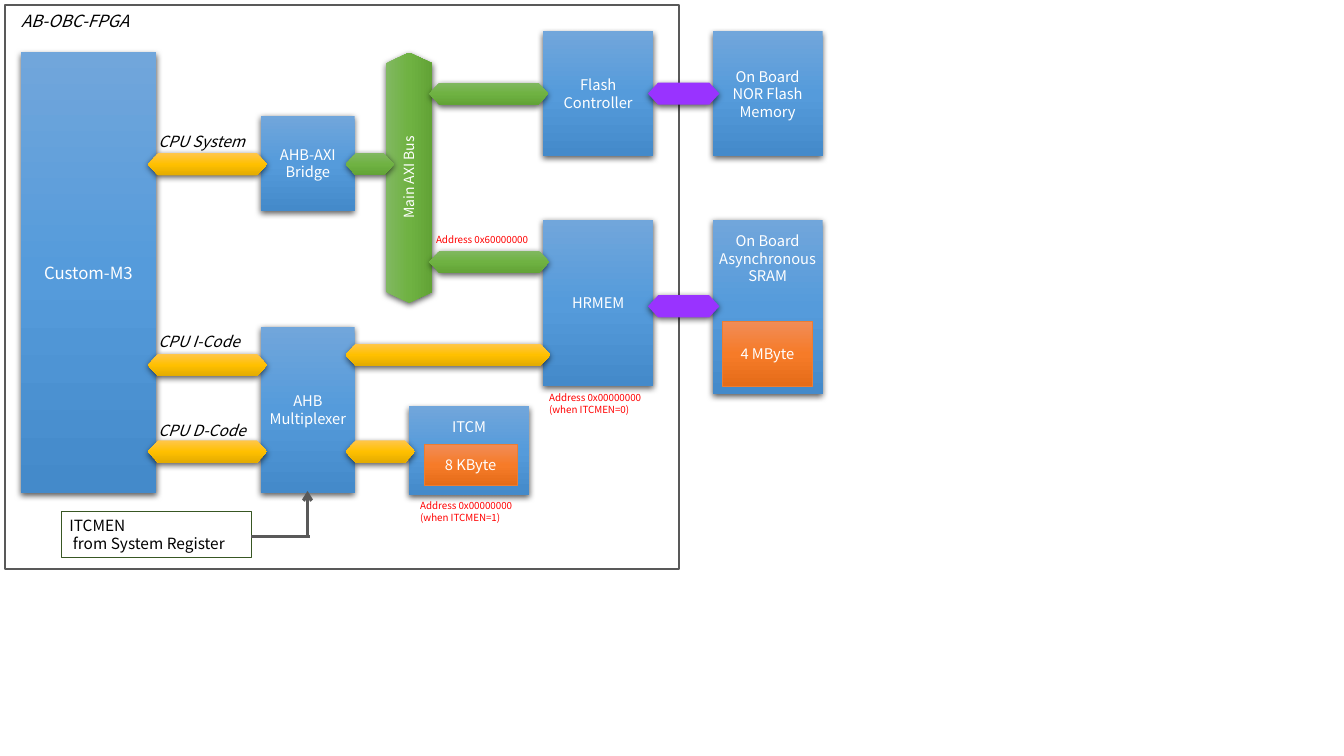
import copy
import pptx
import pptx.util
import pptx.dml.color
import pptx.enum.shapes
import pptx.enum.text
import pptx.oxml
import pptx.oxml.ns

Cm, Pt = pptx.util.Cm, pptx.util.Pt
RGB = pptx.dml.color.RGBColor.from_string
FORM = pptx.enum.shapes.MSO_SHAPE
ANCHOR = pptx.enum.text.MSO_ANCHOR
ALIGN = pptx.enum.text.PP_ALIGN
qn = pptx.oxml.ns.qn

FONT = "Noto Sans CJK JP"
COLOR = {"white": "FFFFFF", "black": "000000", "red": "FF0000", "gray": "595959",
         "rust": "ED7D31", "pine": "385723", "purple": "9933FF"}
SHADE = {"blue": ("71A6DB", "559BDB", "448ACA"),
         "orange": ("F18C57", "F67B28", "E56C19"),
         "gold": ("FFC64B", "FFC000", "E3AB00"),
         "green": ("81B861", "6FB242", "62A336")}
SHADOW = ('<a:outerShdw %s blurRad="57150" dist="19050" dir="5400000" algn="ctr" '
          'rotWithShape="0"><a:srgbClr val="000000"><a:alpha val="63000"/></a:srgbClr>'
          '</a:outerShdw>' % pptx.oxml.ns.nsdecls("a"))


def draw(form, place, fill=None, edge=None, width=0, shadow=False):
    """Add a shape with its fill, outline and shadow."""
    shape = slide.shapes.add_shape(form, *map(Cm, place))
    shape.shadow.inherit = False
    props = shape._element.spPr
    if fill in SHADE:
        shape.fill.gradient()
        shape.fill.gradient_angle = 270
        stops = props.find(".//" + qn("a:gsLst"))
        stops.insert(1, copy.deepcopy(stops[0]))
        for stop, spot, tone in zip(shape.fill.gradient_stops, (0, 0.5, 1), SHADE[fill]):
            stop.position = spot
            stop.color.rgb = RGB(tone)
    elif fill:
        shape.fill.solid()
        shape.fill.fore_color.rgb = RGB(COLOR[fill])
    else:
        shape.fill.background()
    if edge:
        shape.line.color.rgb = RGB(COLOR[edge])
        shape.line.width = Pt(width)
    else:
        shape.line.fill.background()
    if shadow:
        props.find(qn("a:effectLst")).append(pptx.oxml.parse_xml(SHADOW))
    return shape


def write(shape, text, size, color="white", inset=(0, 0), align=ALIGN.CENTER,
          anchor=ANCHOR.MIDDLE, italic=False):
    """Set the text, one paragraph a line; inset is side and top."""
    side, top = map(Cm, inset)
    frame = shape.text_frame
    frame.text = text
    layout = {"word_wrap": True, "auto_size": pptx.enum.text.MSO_AUTO_SIZE.NONE,
              "vertical_anchor": anchor, "margin_left": side, "margin_right": side,
              "margin_top": top, "margin_bottom": min(top, Cm(0.13))}
    for key, value in layout.items():
        setattr(frame, key, value)
    style = {"name": FONT, "size": Pt(size), "italic": italic}
    for para in frame.paragraphs:
        para.alignment = align
        for key, value in style.items():
            setattr(para.runs[0].font, key, value)
        para.runs[0].font.color.rgb = RGB(COLOR[color])


deck = pptx.Presentation()
deck.slide_width, deck.slide_height = Cm(33.87), Cm(19.05)
slide = deck.slides.add_slide(deck.slide_layouts[5])

# Title and chip outline
title = slide.shapes.title
for key, value in {"left": 0.53, "top": 0.28, "width": 3.4, "height": 0.51}.items():
    setattr(title, key, Cm(value))
write(title, "AB-OBC-FPGA", 12, "black", align=ALIGN.LEFT, anchor=ANCHOR.TOP, italic=True)
draw(FORM.RECTANGLE, (0.13, 0.13, 16.99, 14.2), edge="gray", width=1.5)

# Blocks: text, place, size, text at top
blocks = [
    ("Custom-M3", (0.53, 1.32, 3.4, 11.1), 12, False),
    ("AHB-AXI\nBridge", (6.58, 2.92, 2.36, 2.39), 10.5, False),
    ("AHB\nMultiplexer", (6.58, 8.23, 2.36, 4.19), 10.5, False),
    ("ITCM", (10.31, 10.24, 3.02, 2.24), 10.5, True),
    ("Flash\nController", (13.69, 0.79, 2.77, 3.15), 10.5, False),
    ("HRMEM", (13.69, 5.54, 2.77, 4.19), 10.5, False),
    ("On Board\nNOR Flash\nMemory", (17.96, 0.79, 2.77, 3.15), 10.5, False),
    ("On Board\nAsynchronous\nSRAM", (17.96, 5.54, 2.77, 4.39), 10.5, True),
]
for text, place, size, high in blocks:
    block = draw(FORM.RECTANGLE, place, "blue", shadow=True)
    write(block, text, size, inset=(0, 0.3 if high else 0.13),
          anchor=ANCHOR.TOP if high else ANCHOR.MIDDLE)

# Memory sizes
for text, place in [("8 KByte", (10.69, 11.2, 2.34, 1.04)),
                    ("4 MByte", (18.21, 8.1, 2.26, 1.63))]:
    write(draw(FORM.RECTANGLE, place, "orange", "rust", 0.5), text, 10.5)

# Main bus, turned upright
bus = draw(FORM.LEFT_RIGHT_ARROW, (7.16, 3.89, 6.3, 1.17), "green", shadow=True)
bus.rotation = 270
bus.adjustments[0], bus.adjustments[1] = 1, 0.23
write(bus, "Main AXI Bus", 10, inset=(0.25, 0.13))

# Links: color, left, top, width
links = [
    ("gold", 3.73, 3.86, 3), ("gold", 3.73, 8.92, 3), ("gold", 3.73, 11.1, 3),
    ("gold", 8.71, 8.66, 5.16), ("gold", 8.71, 11.1, 1.75),
    ("green", 8.71, 3.86, 1.22), ("green", 10.82, 2.08, 3), ("green", 10.82, 6.32, 3.02),
    ("purple", 16.33, 2.08, 1.8), ("purple", 16.33, 7.44, 1.8),
]
for color, left, top, width in links:
    link = draw(FORM.LEFT_RIGHT_ARROW, (left, top, width, 0.56), color, shadow=True)
    link.adjustments[0], link.adjustments[1] = 1, 0.46

# Register box and its line to the multiplexer
box = draw(FORM.RECTANGLE, (1.55, 12.9, 4.78, 1.14), edge="pine", width=0.75)
write(box, "ITCMEN\n from System Register", 11, "black", (0.2, 0.1),
      ALIGN.LEFT, ANCHOR.TOP)
for ends, tip in [((7.8, 13.51, 6.32, 13.51), False), ((7.75, 13.51, 7.75, 12.37), True)]:
    wire = slide.shapes.add_connector(pptx.enum.shapes.MSO_CONNECTOR.STRAIGHT, *map(Cm, ends))
    wire.line.color.rgb = RGB(COLOR["gray"])
    wire.line.width = Pt(2.25)
    if tip:
        tail = pptx.oxml.parse_xml('<a:tailEnd %s type="arrow"/>' % pptx.oxml.ns.nsdecls("a"))
        wire._element.spPr.find(qn("a:ln")).append(tail)
    wire._element.spPr.append(
        pptx.oxml.parse_xml("<a:effectLst %s/>" % pptx.oxml.ns.nsdecls("a")))

# Port names and addresses
port = {"size": 11, "color": "black", "italic": True}
note = {"size": 7, "color": "red", "inset": (0.25, 0.13)}
labels = [
    ("CPU System", (3.99, 3.33, 2.39, 0.48), port),
    ("CPU I-Code", (3.99, 8.38, 2.39, 0.48), port),
    ("CPU D-Code", (3.99, 10.62, 2.39, 0.48), port),
    ("Address 0x60000000", (10.74, 5.77, 3.12, 0.56), note),
    ("Address 0x00000000\n(when ITCMEN=0)", (13.59, 9.75, 3.12, 0.86), note),
    ("Address 0x00000000\n(when ITCMEN=1)", (10.34, 12.47, 3.2, 0.86), note),
]
for text, place, style in labels:
    label = slide.shapes.add_textbox(*map(Cm, place))
    write(label, text, align=ALIGN.LEFT, anchor=ANCHOR.TOP, **style)

deck.save("out.pptx")
